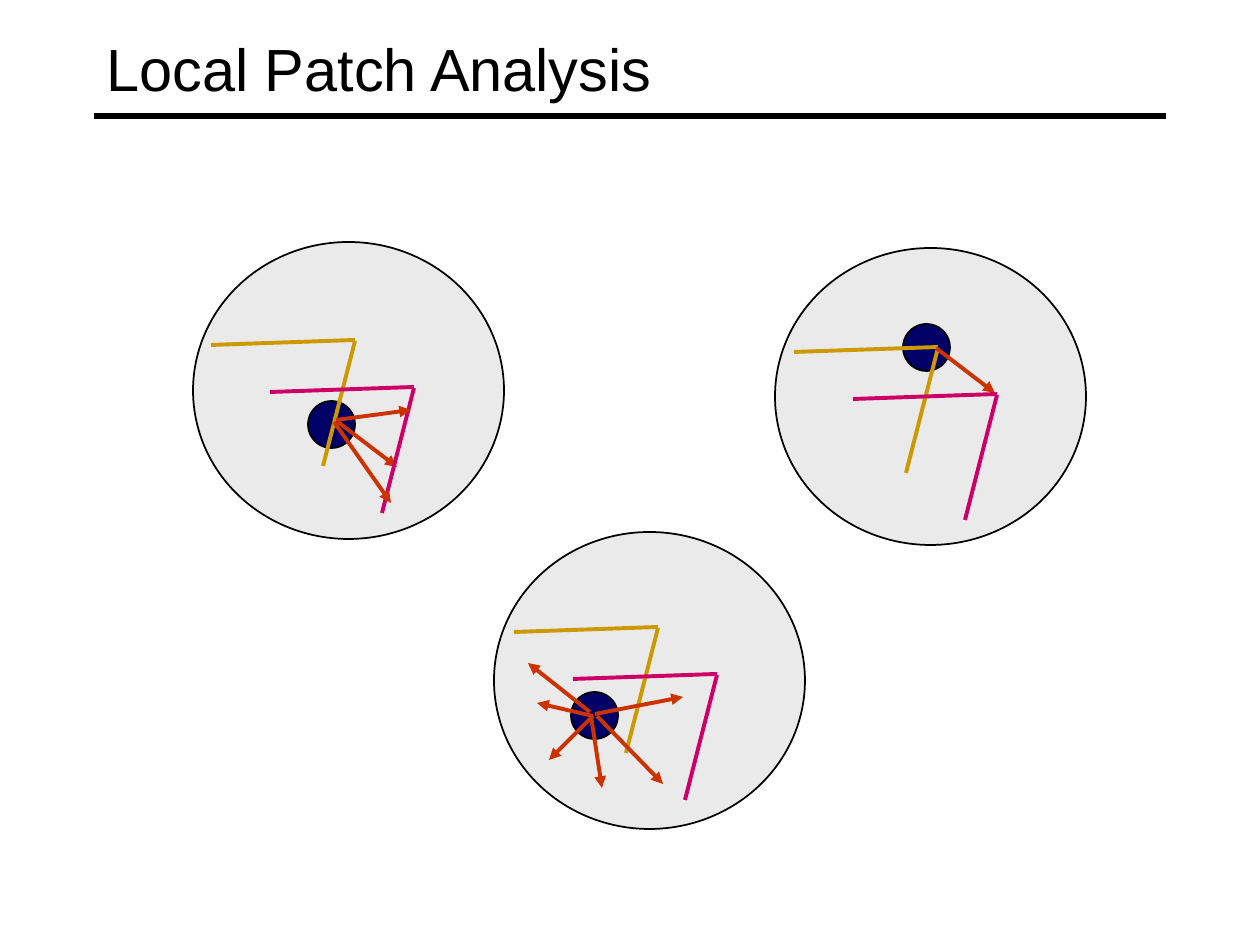
from lxml import etree
from pptx import Presentation
from pptx.dml.color import RGBColor
from pptx.enum.shapes import MSO_CONNECTOR, MSO_SHAPE
from pptx.enum.text import MSO_ANCHOR, PP_ALIGN
from pptx.oxml.ns import qn
from pptx.util import Emu, Pt

STRAIGHT = MSO_CONNECTOR.STRAIGHT
OVAL = MSO_SHAPE.OVAL
MIDDLE = MSO_ANCHOR.MIDDLE
LEFT = PP_ALIGN.LEFT

BLACK = RGBColor(0x00, 0x00, 0x00)
GREY = RGBColor(0xEA, 0xEA, 0xEA)
NAVY = RGBColor(0x00, 0x00, 0x66)
GOLD = RGBColor(0xCC, 0x99, 0x00)
PINK = RGBColor(0xCC, 0x00, 0x66)
RED = RGBColor(0xCC, 0x33, 0x00)

# Content: all places and lengths in px, 126 to the inch
TITLE = "Local Patch Analysis"
TITLE_BOX = (94, 10, 1071, 116)
RULE = ((94, 116), (1166, 116))
DISC_SIZE = (311, 297)
DOT_SIZE = (47, 47)
MOTION = (59, 47)  # from the first corner to the moved corner
PATCHES = [
    {"disc": (775, 248), "dot": (903, 324), "corner": (938, 347),
     "arrows": [((936, 348), (995, 393))]},
    {"disc": (193, 242), "dot": (308, 401), "corner": (355, 340),
     "arrows": [((338, 422), (397, 467)), ((336, 420), (411, 410)),
                ((334, 422), (391, 503))]},
    {"disc": (494, 532), "dot": (571, 692), "corner": (658, 627),
     "arrows": [((597, 716), (663, 784)), ((595, 714), (683, 697)),
                ((591, 716), (602, 788)), ((593, 716), (537, 703)),
                ((590, 712), (528, 663)), ((593, 716), (549, 760))]},
]


def px(value):
    return Emu(round(value * 914400 / 126))


def add_line(shapes, start, end, color, width=2.25, arrow=False):
    line = shapes.add_connector(STRAIGHT, *map(px, (*start, *end)))
    line.line.color.rgb = color
    line.line.width = Pt(width)
    if arrow:
        etree.SubElement(line.line._get_or_add_ln(), qn("a:tailEnd"), type="triangle")
    etree.SubElement(line._element.spPr, qn("a:effectLst"))


def add_circle(shapes, position, size, color):
    circle = shapes.add_shape(OVAL, *map(px, (*position, *size)))
    circle.shadow.inherit = False
    circle.fill.solid()
    circle.fill.fore_color.rgb = color
    circle.line.color.rgb = BLACK
    circle.line.width = Pt(1)


def add_corner(shapes, x, y, color):
    add_line(shapes, (x - 144, y + 5), (x, y), color)
    add_line(shapes, (x, y + 1), (x - 32, y + 126), color)


def add_patch(slide, disc, dot, corner, arrows):
    shapes = slide.shapes.add_group_shape().shapes
    add_circle(shapes, disc, DISC_SIZE, GREY)
    add_circle(shapes, dot, DOT_SIZE, NAVY)
    add_corner(shapes, *corner, GOLD)
    # The first arrow lies under the moved corner, the others over it
    add_line(shapes, *arrows[0], RED, arrow=True)
    add_corner(shapes, corner[0] + MOTION[0], corner[1] + MOTION[1], PINK)
    for start, end in arrows[1:]:
        add_line(shapes, start, end, RED, arrow=True)


def set_title(title, text, size, font_name, color):
    title.left, title.top, title.width, title.height = map(px, TITLE_BOX)
    frame = title.text_frame
    frame.text = text
    frame.vertical_anchor = MIDDLE
    paragraph = frame.paragraphs[0]
    paragraph.alignment = LEFT
    font = paragraph.runs[0].font
    font.size = Pt(size)
    font.name = font_name
    font.color.rgb = color


def main():
    presentation = Presentation()
    presentation.slide_width = px(1260)
    presentation.slide_height = px(945)
    slide = presentation.slides.add_slide(presentation.slide_layouts[5])

    # Title and rule
    set_title(slide.shapes.title, TITLE, size=34, font_name="Arial", color=BLACK)
    add_line(slide.shapes, *RULE, BLACK, width=3)

    # Patches
    for patch in PATCHES:
        add_patch(slide, **patch)

    presentation.save("out.pptx")


if __name__ == "__main__":
    main()
